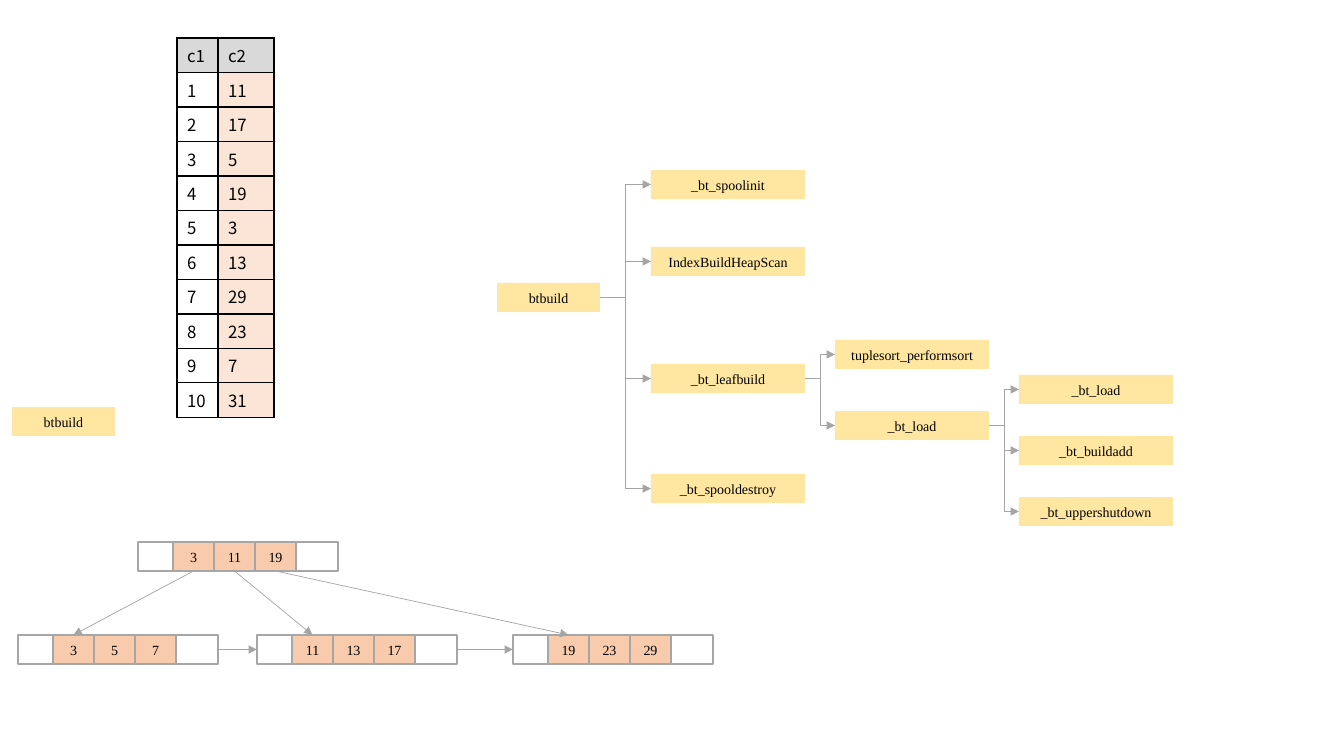
from itertools import pairwise

from lxml import etree
from pptx import Presentation, util as u
from pptx.dml.color import RGBColor
from pptx.enum import shapes, text
from pptx.oxml import ns

EMU_PER_PIXEL = 914400 / 100.8
COLOURS = {
    "function": "FFE699", "key": "F8CBAD", "empty": "FFFFFF", "edge": "A6A6A6",
    "arrow": "A5A5A5", "header": "D9D9D9", "indexed": "FBE5D6", "ink": "000000",
}
LATIN, TABLE_FONT = "Times New Roman", "Noto Sans CJK SC"
BOX_HEIGHT = 29
NARROW, WIDE = 103, 154
NODE_EDGES = [0, 35, 76, 117, 158, 200]
TOP, LEFT, BOTTOM, RIGHT = range(4)
INDEXED_VALUES = [11, 17, 5, 19, 3, 13, 29, 23, 7, 31]


def px(length):
    """Turn pixels into EMU."""
    return u.Emu(round(length * EMU_PER_PIXEL))


def colour(name):
    """Look up a named colour."""
    return RGBColor.from_string(COLOURS[name])


def add_element(parent, tag, **attributes):
    """Append a DrawingML element to an XML parent."""
    return etree.SubElement(parent, ns.qn(tag), **attributes)


def format_text(para, font_name, size):
    """Style every run of a paragraph."""
    for span in para.runs:
        span.font.name = font_name
        span.font.size = u.Pt(size)
        span.font.color.rgb = colour("ink")


def add_box(parent, label, left, top, width, fill):
    """Add a filled rectangle with a centred label."""
    box = parent.shapes.add_shape(
        shapes.MSO_SHAPE.RECTANGLE, px(left), px(top), px(width), px(BOX_HEIGHT))
    box.shadow.inherit = False
    box.fill.solid()
    box.fill.fore_color.rgb = colour(fill)
    box.line.fill.background()
    box.text_frame.text = label
    box.text_frame.vertical_anchor = text.MSO_ANCHOR.MIDDLE
    para = box.text_frame.paragraphs[0]
    para.alignment = text.PP_ALIGN.CENTER
    format_text(para, LATIN, 10)
    return box


def add_function(page, label, left, top, width=WIDE):
    """Add a slightly transparent box for a function name."""
    box = add_box(page, label, left, top, width, "function")
    tint = box.fill._xPr.find(".//" + ns.qn("a:srgbClr"))
    add_element(tint, "a:alpha", val="92000")
    return box


def add_node(page, left, top, keys):
    """Add a grouped B-tree node: keys between two empty cells."""
    node = page.shapes.add_group_shape()
    cells = []
    for label, (start, end) in zip(["", *keys, ""], pairwise(NODE_EDGES)):
        cell = add_box(node, str(label), left + start, top, end - start,
                       "key" if label else "empty")
        cell.line.color.rgb = colour("edge")
        cell.line.width = u.Pt(1.5)
        cells.append(cell)
    return cells


def add_arrow(page, source, source_side, target, target_side, kind="STRAIGHT"):
    """Glue an arrow between the sides of two boxes."""
    arrow = page.shapes.add_connector(shapes.MSO_CONNECTOR[kind], 0, 0, 0, 0)
    arrow.begin_connect(source, source_side)
    arrow.end_connect(target, target_side)
    arrow.line.color.rgb = colour("arrow")
    arrow.line.width = u.Pt(0.5)
    add_element(arrow.line._get_or_add_ln(), "a:tailEnd", type="triangle")
    add_element(arrow._element.spPr, "a:effectLst")


def add_calls(page, caller, left, callees):
    """Add a column of called functions, each with an elbow arrow."""
    boxes = {}
    for label, top in callees:
        boxes[label] = add_function(page, label, left, top)
        add_arrow(page, caller, RIGHT, boxes[label], LEFT, "ELBOW")
    return boxes


def add_borders(cell):
    """Draw a black line on all four sides of a table cell."""
    properties = cell._tc.get_or_add_tcPr()
    for position, side in enumerate(("a:lnL", "a:lnR", "a:lnT", "a:lnB")):
        border = add_element(properties, side, w=str(u.Pt(1)))
        properties.insert(position, border)
        fill = add_element(border, "a:solidFill")
        add_element(fill, "a:srgbClr", val=COLOURS["ink"])


def add_heap_table(page):
    """Add the table whose second column is indexed."""
    rows = [("c1", "c2"), *enumerate(INDEXED_VALUES, 1)]
    row_height = 34
    table = page.shapes.add_table(
        len(rows), 2, px(177), px(38), px(97), px(row_height * len(rows))).table
    table.first_row = table.horz_banding = False
    for column, width in zip(table.columns, (41, 56)):
        column.width = px(width)
    for row, values in enumerate(rows):
        for column, value in enumerate(values):
            cell = table.cell(row, column)
            cell.text_frame.text = str(value)
            format_text(cell.text_frame.paragraphs[0], TABLE_FONT, 12)
            if row and not column:
                cell.fill.background()
            else:
                cell.fill.solid()
                cell.fill.fore_color.rgb = colour("indexed" if row else "header")
            add_borders(cell)


def add_tree(page):
    """Add the root, its chained leaves and the arrows between them."""
    root = add_node(page, 138, 542, (3, 11, 19))
    leaves = [add_node(page, left, 635, keys) for left, keys in (
        (18, (3, 5, 7)), (257, (11, 13, 17)), (513, (19, 23, 29)))]
    for key, leaf in zip(root[1:-1], leaves):
        add_arrow(page, key, BOTTOM, leaf[1], TOP)
    for leaf, following in pairwise(leaves):
        add_arrow(page, leaf[-1], RIGHT, following[0], LEFT)


def add_call_graph(page):
    """Add the functions called while an index is built."""
    build = add_function(page, "btbuild", 497, 283, NARROW)
    steps = add_calls(page, build, 651, [
        ("_bt_spoolinit", 170), ("IndexBuildHeapScan", 247),
        ("_bt_leafbuild", 364), ("_bt_spooldestroy", 474)])
    leaf_steps = add_calls(page, steps["_bt_leafbuild"], 835, [
        ("tuplesort_performsort", 340), ("_bt_load", 411)])
    add_calls(page, leaf_steps["_bt_load"], 1019, [
        ("_bt_load", 375), ("_bt_buildadd", 436), ("_bt_uppershutdown", 497)])


def main():
    """Build and save the slide."""
    deck = Presentation()
    deck.slide_width, deck.slide_height = px(1344), px(756)
    page = deck.slides.add_slide(deck.slide_layouts[6])
    add_function(page, "btbuild", 12, 407, NARROW)
    add_heap_table(page)
    add_tree(page)
    add_call_graph(page)
    deck.save("out.pptx")


main()
